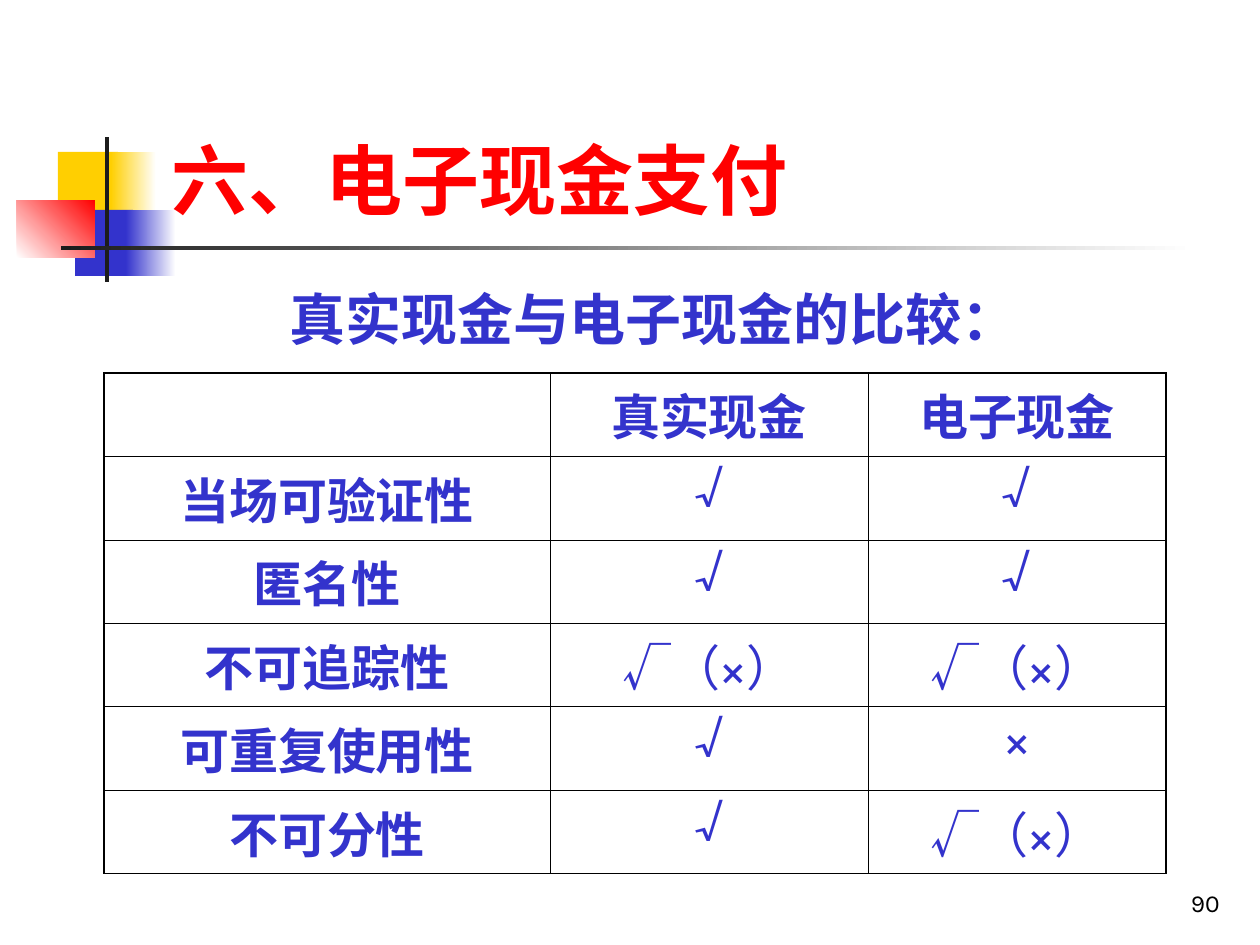
import pptx
import pptx.dml.color
import pptx.enum.shapes
import pptx.enum.text
import pptx.oxml
import pptx.oxml.ns
import pptx.util

PX = 914400 / 126
FONT = "Karla"
BLUE, RED, YELLOW, DARK = "3333CC", "FF0000", "FFCF01", "1C1C1C"
BLACK, WHITE = "000000", "FFFFFF"
ROWS = [
    ["", "真实现金", "电子现金"],
    ["当场可验证性", "√", "√"],
    ["匿名性", "√", "√"],
    ["不可追踪性", "√（×）", "√（×）"],
    ["可重复使用性", "√", "×"],
    ["不可分性", "√", "√（×）"],
]
COLUMN_WIDTHS = [446, 318, 298]
ROW_HEIGHT = 83


def px(length):
    return pptx.util.Emu(round(length * PX))


def color(value):
    return pptx.dml.color.RGBColor.from_string(value)


def place(shape, left, top, width, height):
    shape.left, shape.top = px(left), px(top)
    shape.width, shape.height = px(width), px(height)


def write(text_frame, text, size, text_color, align, bold=False, space_before=0):
    text_frame.text = text
    paragraph = text_frame.paragraphs[0]
    paragraph.alignment = getattr(pptx.enum.text.PP_ALIGN, align)
    paragraph.space_before = pptx.util.Pt(space_before)
    for run in paragraph.runs:
        run.font.name = FONT
        run.font.size = pptx.util.Pt(size)
        run.font.bold = bold
        run.font.color.rgb = color(text_color)
    return paragraph


def add_block(slide, left, top, width, height, start, end=None, angle=0):
    """Add a borderless rectangle, solid or fading from start to end."""
    shape = slide.shapes.add_shape(
        pptx.enum.shapes.MSO_SHAPE.RECTANGLE, px(left), px(top), px(width), px(height))
    shape.shadow.inherit = False
    shape.line.fill.background()
    if end is None:
        shape.fill.solid()
        shape.fill.fore_color.rgb = color(start)
        return
    shape.fill.gradient()
    shape.fill.gradient_angle = angle
    for stop, position, value in zip(shape.fill.gradient_stops, (0, 1), (start, end)):
        stop.position = position
        stop.color.rgb = color(value)


def add_ornament(slide, left, top):
    add_block(slide, left + 41, top + 15, 60, 66, YELLOW)
    add_block(slide, left + 94, top + 15, 45, 66, YELLOW, WHITE)
    add_block(slide, left + 58, top + 73, 58, 66, BLUE)
    add_block(slide, left + 109, top + 73, 50, 66, BLUE, WHITE)
    add_block(slide, left, top + 63, 78, 58, WHITE, RED, angle=45)
    add_block(slide, left + 88, top, 4, 145, DARK)
    add_block(slide, left + 44, top + 109, 1134, 4, DARK, WHITE)


def fill_placeholder(shape, box, anchor, *text, **style):
    """Bring a placeholder to the front, move it and set its text."""
    shape.element.getparent().append(shape.element)
    place(shape, *box)
    text_frame = shape.text_frame
    text_frame.auto_size = pptx.enum.text.MSO_AUTO_SIZE.NONE
    text_frame.word_wrap = True
    text_frame.vertical_anchor = getattr(pptx.enum.text.MSO_ANCHOR, anchor)
    return write(text_frame, *text, **style)


def add_subtitle(shape, *box):
    paragraph = fill_placeholder(shape, box, "TOP", "真实现金与电子现金的比较：",
                                 32, BLUE, "CENTER", bold=True, space_before=8)
    properties = paragraph._p.get_or_add_pPr()
    properties.set("marL", str(px(48)))
    properties.set("indent", str(px(-48)))
    properties.append(pptx.oxml.parse_xml(
        f'<a:buNone {pptx.oxml.ns.nsdecls("a")}/>'))


def set_borders(cell, outer_sides):
    for side in "LRTB":
        width = pptx.util.Pt(1.08 if side in outer_sides else 0.45)
        cell._tc.get_or_add_tcPr().append(pptx.oxml.parse_xml(
            f'<a:ln{side} {pptx.oxml.ns.nsdecls("a")} w="{width}"><a:solidFill>'
            f'<a:srgbClr val="{BLACK}"/></a:solidFill></a:ln{side}>'))


def add_comparison(slide, left, top):
    row_count, column_count = len(ROWS), len(COLUMN_WIDTHS)
    table = slide.shapes.add_table(
        row_count, column_count, px(left), px(top),
        px(sum(COLUMN_WIDTHS)), px(ROW_HEIGHT * row_count)).table
    table.first_row = table.horz_banding = False
    for column, width in zip(table.columns, COLUMN_WIDTHS):
        column.width = px(width)
    for row_index, texts in enumerate(ROWS):
        table.rows[row_index].height = px(ROW_HEIGHT)
        for column_index, text in enumerate(texts):
            cell = table.cell(row_index, column_index)
            outer_sides = [side for side, outer in (
                ("L", column_index == 0), ("R", column_index == column_count - 1),
                ("T", row_index == 0), ("B", row_index == row_count - 1)) if outer]
            set_borders(cell, outer_sides)
            cell.fill.background()
            write(cell.text_frame, text, 28, BLUE, "CENTER",
                  bold=row_index == 0 or column_index == 0, space_before=7)


def add_page_number(slide, left, top, width, height):
    box = slide.shapes.add_textbox(px(left), px(top), px(width), px(height))
    box.text_frame.word_wrap = True
    box.text_frame.vertical_anchor = pptx.enum.text.MSO_ANCHOR.BOTTOM
    write(box.text_frame, "90", 14, BLACK, "RIGHT")


def main():
    presentation = pptx.Presentation()
    presentation.slide_width, presentation.slide_height = px(1260), px(945)
    slide = presentation.slides.add_slide(presentation.slide_layouts[1])
    add_ornament(slide, 17, 137)
    add_page_number(slide, 970, 861, 262, 63)
    fill_placeholder(slide.shapes.title, (159, 29, 1074, 202), "BOTTOM",
                     "六、电子现金支付", 44, RED, "LEFT", bold=True)
    add_subtitle(slide.placeholders[1], 74, 278, 1159, 591)
    add_comparison(slide, 104, 373)
    presentation.save("out.pptx")


if __name__ == "__main__":
    main()
